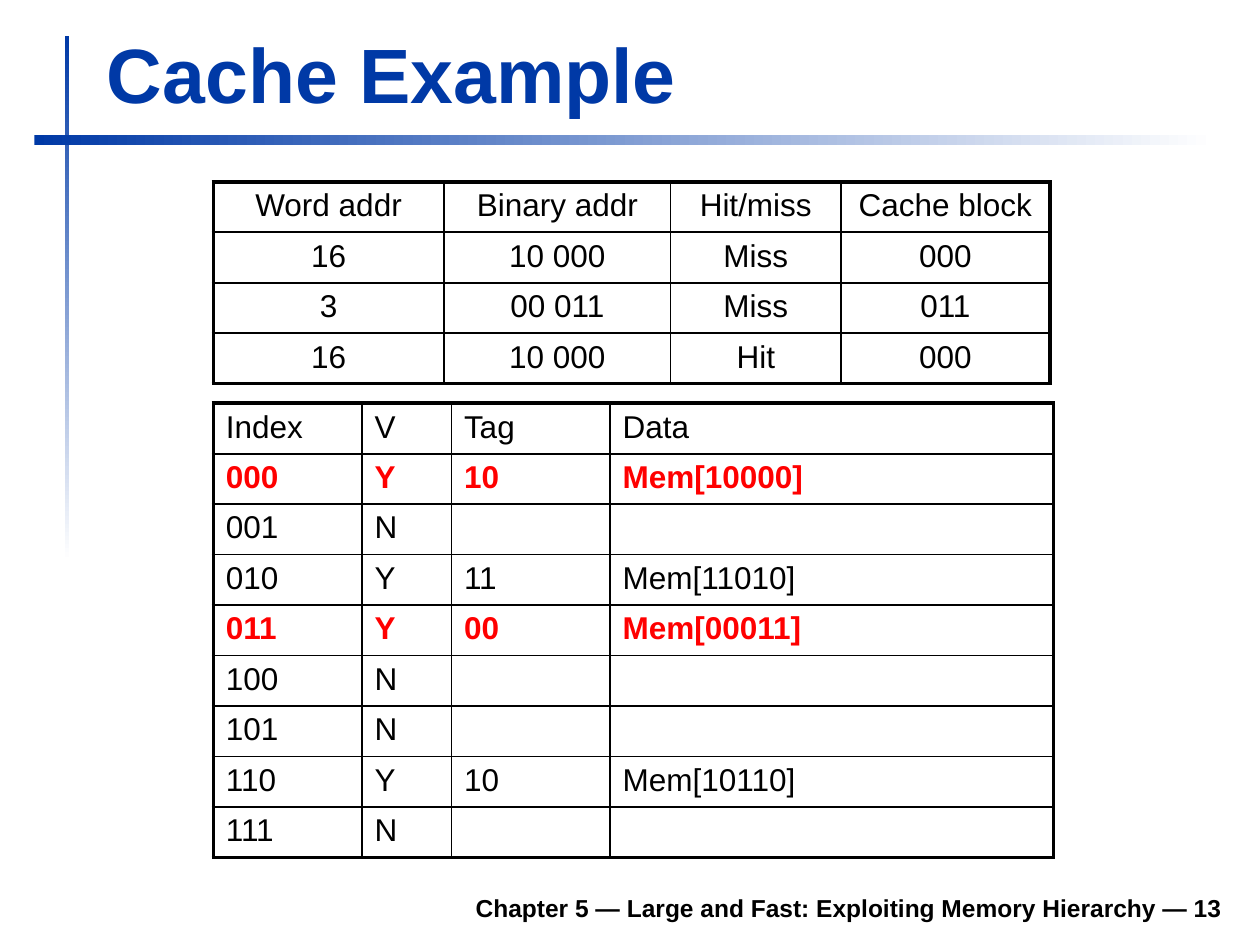
import pptx
import pptx.dml.color
import pptx.enum.shapes
import pptx.enum.text
import pptx.oxml
import pptx.oxml.ns
import pptx.util

Pt = pptx.util.Pt
ALIGN = pptx.enum.text.PP_ALIGN
ANCHOR = pptx.enum.text.MSO_ANCHOR
FIT = pptx.enum.text.MSO_AUTO_SIZE
BLUE, BLACK, RED, WHITE = "0039A6", "000000", "FF0000", "FFFFFF"


def color(value):
    return pptx.dml.color.RGBColor.from_string(value)


def write(frame, text, align, size, ink, bold):
    para = frame.paragraphs[0]
    para.alignment = align
    span = para.add_run()
    span.text = text
    formats = {"name": "Arial", "size": Pt(size), "bold": bold}
    for name, value in formats.items():
        setattr(span.font, name, value)
    span.font.color.rgb = color(ink)


deck = pptx.Presentation()
deck.slide_width, deck.slide_height = Pt(720), Pt(540)
page = deck.slides.add_slide(deck.slide_layouts[6])

bars = [
    ((36.9, 20.4, 2.7, 300), 270),
    ((19.7, 77.2, 674.6, 5.6), 0),
]
for place, angle in bars:
    bar = page.shapes.add_shape(
        pptx.enum.shapes.MSO_SHAPE.RECTANGLE, *map(Pt, place)
    )
    bar.shadow.inherit = False
    bar.line.fill.background()
    bar.fill.gradient()
    bar.fill.gradient_angle = angle
    for stop, value in zip(bar.fill.gradient_stops, (BLUE, WHITE)):
        stop.color.rgb = color(value)

texts = [
    (
        "Chapter 5 — Large and Fast: Exploiting Memory Hierarchy — 13",
        (133.2, 502.4, 572.4, 28), ALIGN.RIGHT, 14, BLACK, FIT.NONE,
    ),
    ("Cache Example", (54, 11.4, 650, 60), ALIGN.LEFT, 44, BLUE, FIT.SHAPE_TO_FIT_TEXT),
]
for text, place, align, size, ink, fit in texts:
    box = page.shapes.add_textbox(*map(Pt, place))
    formats = {"word_wrap": True, "auto_size": fit, "vertical_anchor": ANCHOR.BOTTOM}
    for name, value in formats.items():
        setattr(box.text_frame, name, value)
    write(box.text_frame, text, align, size, ink, True)

cache_rows = [
    ("Index", "V", "Tag", "Data"),
    ("000", "Y", "10", "Mem[10000]"),
    ("001", "N", "", ""),
    ("010", "Y", "11", "Mem[11010]"),
    ("011", "Y", "00", "Mem[00011]"),
    ("100", "N", "", ""),
    ("101", "N", "", ""),
    ("110", "Y", "10", "Mem[10110]"),
    ("111", "N", "", ""),
]
access_rows = [
    ("Word addr", "Binary addr", "Hit/miss", "Cache block"),
    ("16", "10 000", "Miss", "000"),
    ("3", "00 011", "Miss", "011"),
    ("16", "10 000", "Hit", "000"),
]
row_height = 28.8
outer_line, header_line, column_line = 2.25, 1.5, 1
tables = [
    (cache_rows, 230.4, (85, 51.1, 90.7, 253.4), ALIGN.LEFT, 1, {"000", "011"}),
    (access_rows, 103.9, (131.8, 129.6, 97.2, 119.5), ALIGN.CENTER, 1.5, set()),
]
for rows, top, widths, align, row_line, changed in tables:
    last_row, last_column = len(rows) - 1, len(widths) - 1
    table = page.shapes.add_table(
        len(rows), len(widths),
        Pt(121.9), Pt(top), Pt(sum(widths)), Pt(row_height * len(rows)),
    ).table
    for name in ("first_row", "horz_banding"):
        setattr(table, name, False)
    for column, width in zip(table.columns, widths):
        column.width = Pt(width)

    for r, row in enumerate(rows):
        table.rows[r].height = Pt(row_height)
        highlighted = row[0] in changed
        for c, text in enumerate(row):
            cell = table.cell(r, c)
            cell.margin_left = cell.margin_right = Pt(7.2)
            cell.margin_top = cell.margin_bottom = Pt(3.6)
            if text:
                ink = RED if highlighted else BLACK
                write(cell.text_frame, text, align, 18, ink, highlighted)
            borders = {
                "L": outer_line if c == 0 else column_line,
                "R": outer_line if c == last_column else column_line,
                "T": outer_line if r == 0 else header_line if r == 1 else row_line,
                "B": outer_line if r == last_row else header_line if r == 0 else row_line,
            }
            for side, weight in borders.items():
                cell._tc.get_or_add_tcPr().append(pptx.oxml.parse_xml(
                    f'<a:ln{side} {pptx.oxml.ns.nsdecls("a")} w="{int(Pt(weight))}">'
                    f'<a:solidFill><a:srgbClr val="{BLACK}"/></a:solidFill></a:ln{side}>'
                ))
            cell.fill.background()

deck.save("out.pptx")
